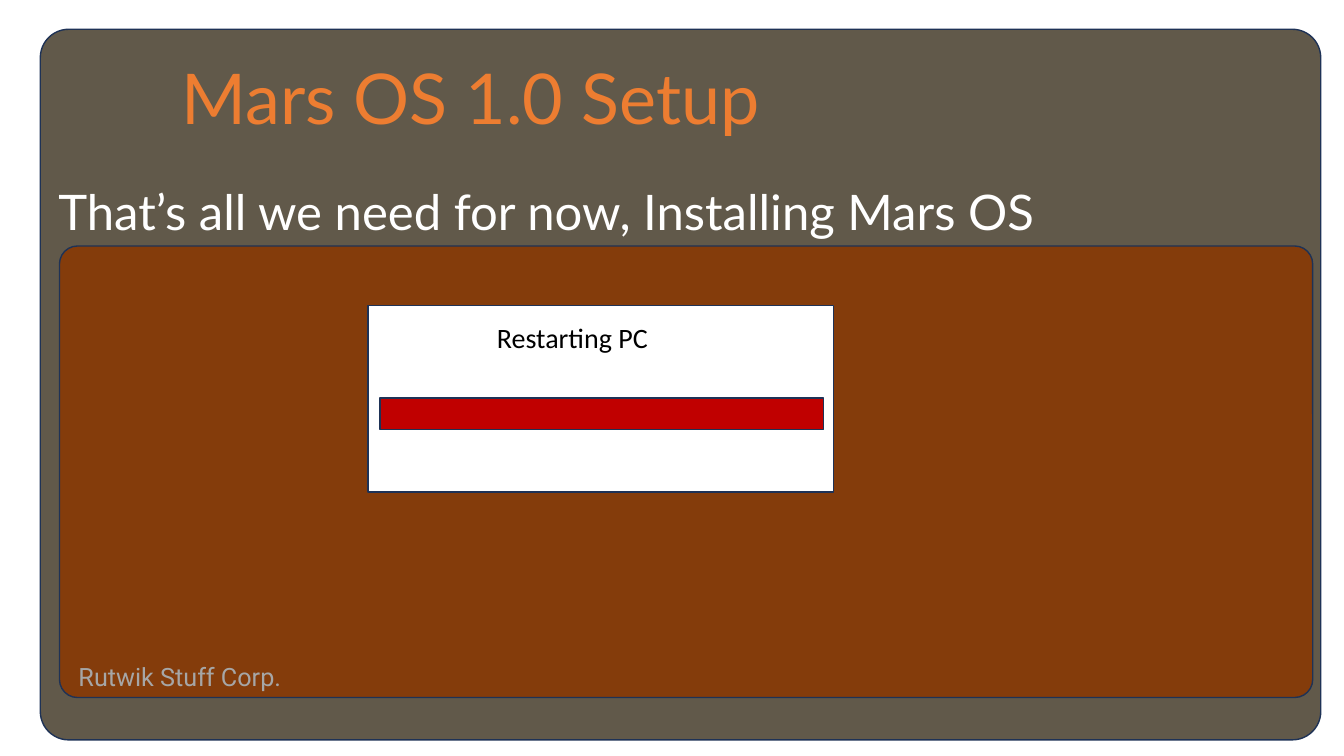
"""Build the Mars OS setup slide with its restart dialog."""
from dataclasses import dataclass

import lxml.etree
import pptx
import pptx.dml.color
import pptx.enum.shapes
import pptx.enum.text
import pptx.oxml.ns
import pptx.util

Inches = pptx.util.Inches
MSO_SHAPE = pptx.enum.shapes.MSO_SHAPE
OUTLINE = "1E3256"


@dataclass
class Panel:
    box: tuple[float, float, float, float]
    fill: str
    radius: float = 0
    opacity: int = 100


@dataclass
class Label:
    box: tuple[float, float, float, float]
    text: str
    size: int
    font: str
    color: str
    is_title: bool = False


ITEMS = [
    Panel((0.4, 0.29, 12.7, 7.05), "271C07", 0.04, 73),
    Label((1.7, 0.49, 6.24, 0.94), "Mars OS 1.0 Setup", 50, "Lato", "ED7D31", True),
    Label((0.48, 1.75, 11.38, 0.69), "That’s all we need for now, Installing Mars OS",
          35, "Lato", "FFFFFF"),
    Panel((0.59, 2.44, 12.43, 4.48), "843C0B", 0.04),
    Label((0.68, 6.51, 2.45, 0.4), "Rutwik Stuff Corp.", 18, "Roboto", "A6A6A6"),
    Panel((3.65, 3.03, 4.62, 1.85), "FFFFFF"),
    Panel((3.77, 3.95, 4.4, 0.31), "C00000"),
    Label((4.83, 3.13, 3.7, 0.44), "Restarting PC", 20, "Calibri", "000000"),
]


def rgb(color: str) -> pptx.dml.color.RGBColor:
    return pptx.dml.color.RGBColor.from_string(color)


def add_panel(slide, panel: Panel) -> None:
    kind = MSO_SHAPE.ROUNDED_RECTANGLE if panel.radius else MSO_SHAPE.RECTANGLE
    sp = slide.shapes.add_shape(kind, *map(Inches, panel.box))
    if panel.radius:
        sp.adjustments[0] = panel.radius
    sp.shadow.inherit = False
    sp.fill.solid()
    sp.fill.fore_color.rgb = rgb(panel.fill)
    sp.line.color.rgb = rgb(OUTLINE)
    sp.line.width = pptx.util.Pt(1)
    if panel.opacity < 100:
        qn = pptx.oxml.ns.qn
        clr = sp._element.spPr.find(qn("a:solidFill")).find(qn("a:srgbClr"))
        lxml.etree.SubElement(clr, qn("a:alpha"), val=str(panel.opacity * 1000))


def add_label(slide, label: Label) -> None:
    box = [Inches(v) for v in label.box]
    if label.is_title:
        sp = slide.shapes.title
        sp.left, sp.top, sp.width, sp.height = box
        slide.shapes[-1]._element.addnext(sp._element)
    else:
        sp = slide.shapes.add_textbox(*box)
    tf = sp.text_frame
    tf.word_wrap = True
    tf.auto_size = pptx.enum.text.MSO_AUTO_SIZE.SHAPE_TO_FIT_TEXT
    tf.vertical_anchor = pptx.enum.text.MSO_ANCHOR.TOP
    p = tf.paragraphs[0]
    p.alignment = pptx.enum.text.PP_ALIGN.LEFT
    r = p.add_run()
    r.text = label.text
    r.font.size = pptx.util.Pt(label.size)
    r.font.name = label.font
    r.font.color.rgb = rgb(label.color)


def main() -> None:
    prs = pptx.Presentation()
    prs.slide_width, prs.slide_height = Inches(13.33), Inches(7.5)
    slide = prs.slides.add_slide(prs.slide_layouts[5])
    for item in ITEMS:
        if isinstance(item, Panel):
            add_panel(slide, item)
        else:
            add_label(slide, item)
    prs.save("out.pptx")


if __name__ == "__main__":
    main()
